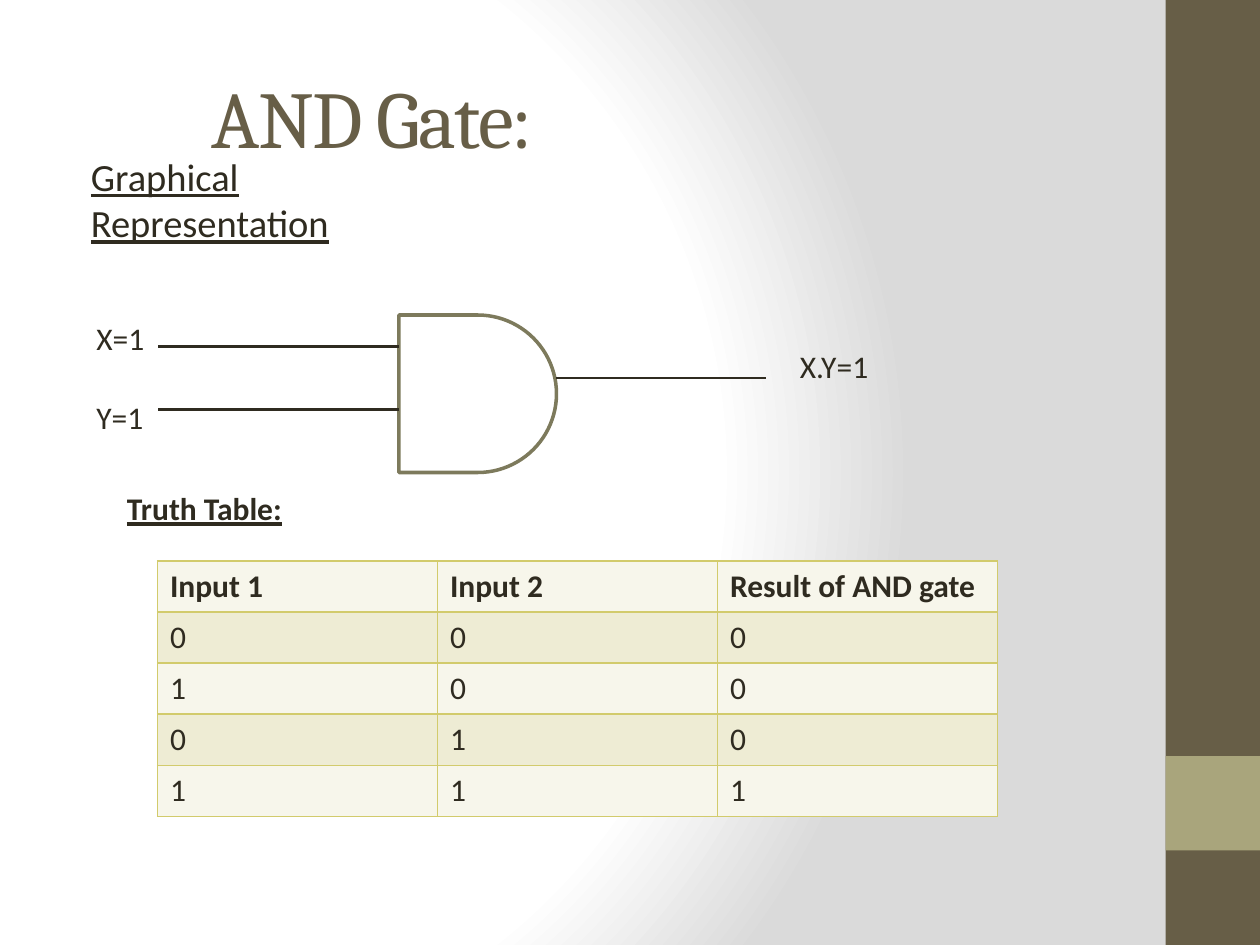
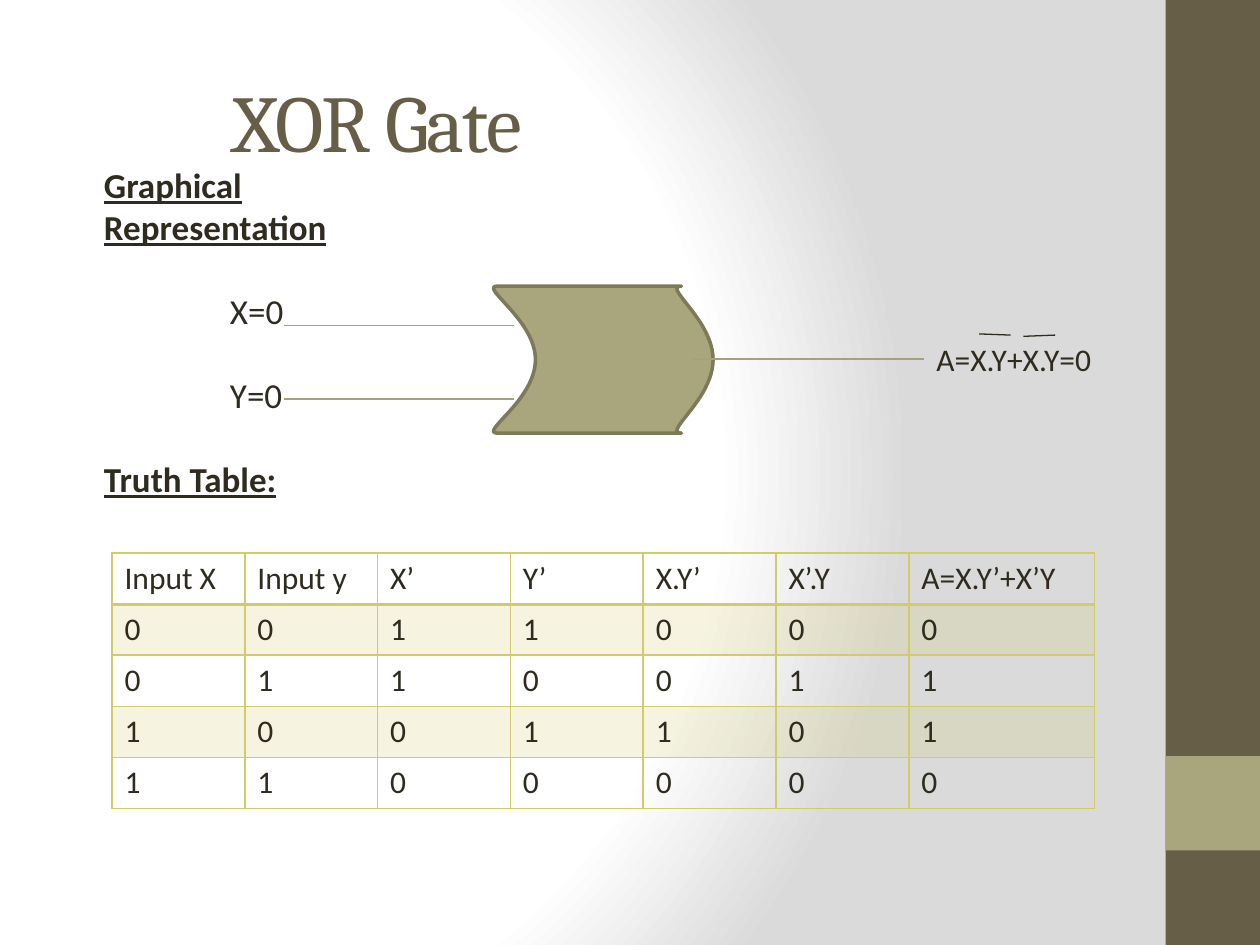
from lxml.etree import SubElement
from pptx import Presentation
from pptx.dml.color import RGBColor
from pptx.enum.shapes import MSO_CONNECTOR, MSO_SHAPE
from pptx.enum.text import MSO_ANCHOR
from pptx.oxml import parse_xml
from pptx.oxml.ns import nsdecls, qn
from pptx.util import Pt

WHITE = RGBColor(0xFF, 0xFF, 0xFF)
GREY = RGBColor(0xDA, 0xDA, 0xDA)
INK = RGBColor(0x2F, 0x2B, 0x20)
BROWN = RGBColor(0x67, 0x5E, 0x47)
OLIVE = RGBColor(0xA9, 0xA5, 0x7C)
OUTLINE = RGBColor(0x7D, 0x7A, 0x5C)
WIRE = RGBColor(0xA6, 0xA2, 0x78)
GOLD = RGBColor(0xD2, 0xCB, 0x6C)
PALE = RGBColor(0xF7, 0xF6, 0xEB)
CREAM = RGBColor(0xEE, 0xEC, 0xD4)


def add_text(s, left, top, width, height, *lines, size=18, bold=False,
             underline=False, wrap=True, font="Calibri", color=INK):
    """Add a text box with one paragraph per line and return its text frame."""
    tf = s.shapes.add_textbox(Pt(left), Pt(top), Pt(width), Pt(height)).text_frame
    tf.word_wrap = wrap
    tf.text = "\n".join(lines)
    for p in tf.paragraphs:
        p.font.name, p.font.size, p.font.color.rgb = font, Pt(size), color
        p.font.bold, p.font.underline = bold, underline
    return tf


def bezier(a, b, c, d, steps=24):
    """Return points on a cubic curve from a to d, without a itself."""
    ts = [i / steps for i in range(1, steps + 1)]
    return [tuple((1 - t) ** 3 * a[k] + 3 * t * (1 - t) ** 2 * b[k]
                  + 3 * t * t * (1 - t) * c[k] + t ** 3 * d[k] for k in (0, 1))
            for t in ts]


prs = Presentation()
prs.slide_width, prs.slide_height = Pt(720), Pt(540)

# Background shared through the master
master = prs.slide_master
master.background.fill.gradient()
grad = master.element.find(".//" + qn("a:gradFill"))
for child in list(grad):
    grad.remove(child)
stops = "".join(f'<a:gs pos="{pos}"><a:srgbClr val="{color}"/></a:gs>'
                for pos, color in ((0, WHITE), (75000, WHITE), (100000, GREY)))
grad.append(parse_xml(f'<a:gsLst {nsdecls("a")}>{stops}</a:gsLst>'))
grad.append(parse_xml(
    f'<a:path {nsdecls("a")} path="circle">'
    '<a:fillToRect l="20000" t="50000" r="100000" b="50000"/></a:path>'))

# Side bands and titles
slides = []
for title, left, top, width in (("AND Gate:", 114, 21.6, 522),
                                ("XOR Gate", 126, 24, 576)):
    s = prs.slides.add_slide(prs.slide_layouts[6])
    slides.append(s)
    for band_top, band_height, color in ((0, 540, BROWN), (432, 54, OLIVE)):
        band = s.shapes.add_shape(MSO_SHAPE.RECTANGLE, Pt(666), Pt(band_top),
                                  Pt(54), Pt(band_height))
        band.shadow.inherit = False
        band.fill.solid()
        band.fill.fore_color.rgb = color
        band.line.fill.background()
    tf = add_text(s, left, top, width, 90, title, size=46, font="Cambria", color=BROWN)
    tf.vertical_anchor = MSO_ANCHOR.MIDDLE
    tf.paragraphs[0].runs[0].font._element.set("spc", "-100")
and_slide, xor_slide = slides

# Headings and labels
tf = add_text(and_slide, 36, 84, 600, 402, "Graphical", "Representation",
              size=22, underline=True)
tf.margin_left = Pt(16)
add_text(and_slide, 65.5, 276, 540, 223, "Truth Table:", bold=True, underline=True)
for label, left, top, width in (("X=1", 48, 178.6, 42), ("Y=1", 48, 224, 42),
                                ("X.Y=1", 450, 195, 66)):
    add_text(and_slide, left, top, width, 29, label, wrap=False)

tf = add_text(xor_slide, 45, 90, 600, 402, "Graphical", "Representation",
              "X=0", "Y=0", "Truth Table:", size=20, bold=True, underline=True)
tf.margin_left = Pt(14.4)
for p in tf.paragraphs[2:]:
    p.space_before = Pt(24)
for p in tf.paragraphs[2:4]:
    p.font.bold = p.font.underline = False
    p._p.get_or_add_pPr().set("marL", str(Pt(72)))
add_text(xor_slide, 528, 191, 114, 29, "A=X.Y+X.Y=0", wrap=False)

# Gates
and_gate = and_slide.shapes.add_shape(MSO_SHAPE.FLOWCHART_DELAY,
                                      Pt(228), Pt(180), Pt(90), Pt(90))
top, middle, bottom = 163.5, 205.5, 247.5
outline = [(389.5, top)]
outline += bezier(outline[-1], (378, top), (407.5, 182.5), (407.5, middle))
outline += bezier(outline[-1], (407.5, 228.5), (378, bottom), (389.5, bottom))
outline += [(284.5, bottom)]
outline += bezier(outline[-1], (273, bottom), (306, 229), (306, middle))
outline += bezier(outline[-1], (306, 182.5), (273, top), (284.5, top))
builder = xor_slide.shapes.build_freeform(Pt(284.5), Pt(top))
builder.add_line_segments([(Pt(x), Pt(y)) for x, y in outline])
xor_gate = builder.convert_to_shape()
for gate, color in ((and_gate, WHITE), (xor_gate, OLIVE)):
    gate.shadow.inherit = False
    gate.fill.solid()
    gate.fill.fore_color.rgb = color
    gate.line.color.rgb = OUTLINE
    gate.line.width = Pt(2)

# Wires, and the negation bars over the XOR formula
for s, color, weight, lines in (
    (and_slide, INK, 1.5, [(318, 216, 438, 216), (228, 198, 90, 198),
                           (228, 234, 90, 234)]),
    (xor_slide, WIRE, 1, [(395, 205, 528, 205), (294, 186, 162, 186),
                          (294, 228, 162, 228)]),
    (xor_slide, INK, 0.75, [(559.5, 190.8, 577.5, 191.5),
                            (584.8, 192.2, 603, 191.5)]),
):
    for ends in lines:
        wire = s.shapes.add_connector(MSO_CONNECTOR.STRAIGHT, *map(Pt, ends))
        wire.line.color.rgb = color
        wire.line.width = Pt(weight)
        SubElement(wire._element.spPr, qn("a:effectLst"))

# Truth tables
and_rows = [("Input 1", "Input 2", "Result of AND gate"),
            "000", "100", "010", "111"]
xor_rows = [("Input X", "Input y", "X’", "Y’", "X.Y’", "X’.Y", "A=X.Y’+X’Y"),
            "0011000", "0110011", "1001101", "1100000"]
for s, left, top, widths, rows, fills, alpha, bold_head, head_line in (
    (and_slide, 90, 320.5, [160] * 3, and_rows, (PALE, CREAM), 100, True, 1),
    (xor_slide, 64, 316, [75.9] * 6 + [106], xor_rows, (None, GOLD), 20, False, 2),
):
    table = s.shapes.add_table(len(rows), len(widths), Pt(left), Pt(top),
                               Pt(sum(widths)), Pt(29.2 * len(rows))).table
    table.first_row = table.horz_banding = False
    for column, width in zip(table.columns, widths):
        column.width = Pt(width)
    for i, row in enumerate(rows):
        for j, value in enumerate(row):
            cell = table.cell(i, j)
            cell.text = value
            p = cell.text_frame.paragraphs[0]
            p.font.name, p.font.size, p.font.color.rgb = "Calibri", Pt(18), INK
            p.font.bold = bold_head and i == 0
            tcPr = cell._tc.get_or_add_tcPr()
            fill = fills[i % 2]
            if fill is None:
                cell.fill.background()
            else:
                cell.fill.solid()
                cell.fill.fore_color.rgb = fill
                if alpha < 100:
                    SubElement(tcPr.find(".//" + qn("a:srgbClr")), qn("a:alpha"),
                               val=str(alpha * 1000))
            for k, side in enumerate(("lnL", "lnR", "lnT", "lnB")):
                under_head = (i, side) in ((0, "lnB"), (1, "lnT"))
                weight = Pt(head_line if under_head else 1)
                tcPr.insert(k, parse_xml(
                    f'<a:{side} {nsdecls("a")} w="{weight}"><a:solidFill>'
                    f'<a:srgbClr val="{GOLD}"/></a:solidFill></a:{side}>'))

prs.save("out.pptx")
